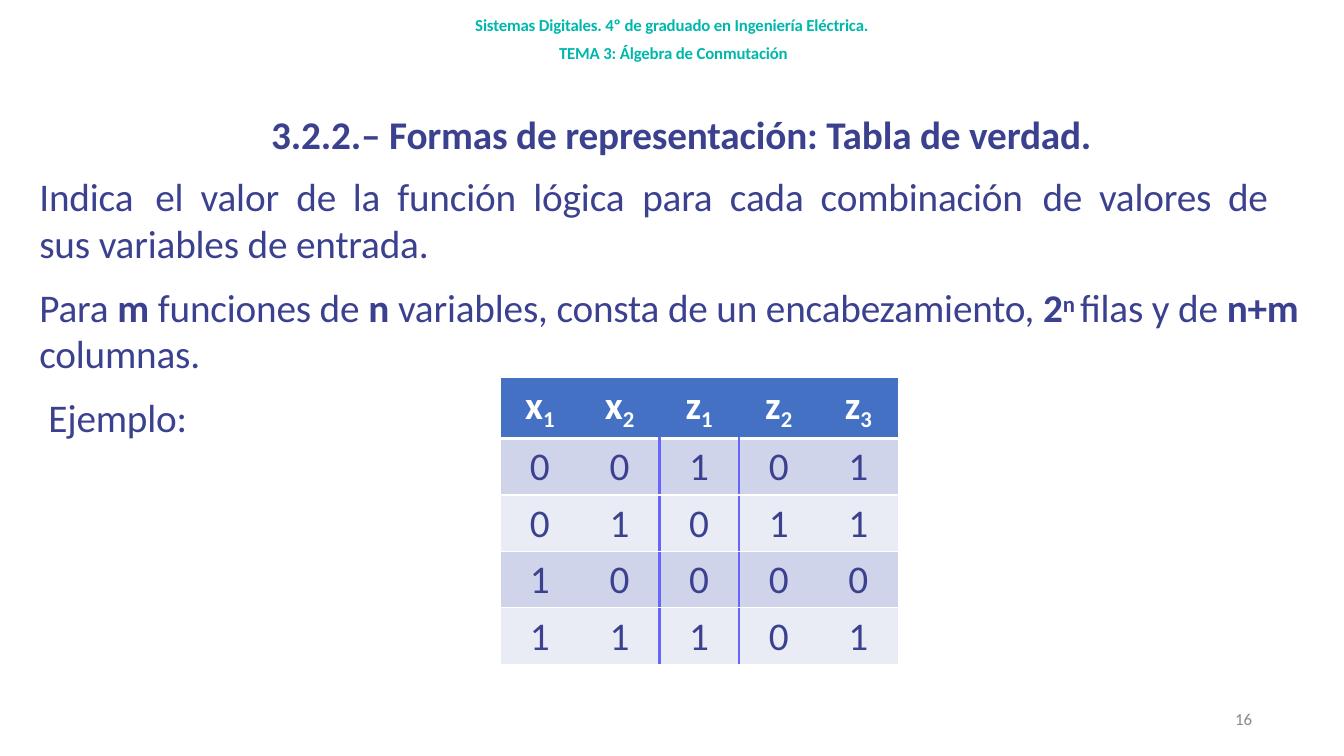
import dataclasses
import typing

import lxml.etree
import pptx
import pptx.dml.color
import pptx.enum.text
import pptx.oxml.ns
import pptx.util

Inches = pptx.util.Inches
Pt = pptx.util.Pt
Align = pptx.enum.text.PP_ALIGN
Anchor = pptx.enum.text.MSO_ANCHOR
qn = pptx.oxml.ns.qn

COLORS = {
    "body": "3B418F",
    "course": "00B7AB",
    "number": "888888",
    "white": "FFFFFF",
    "header": "4471C4",
    "odd_row": "CFD4EA",
    "even_row": "E9EBF5",
    "divider": "6666FF",
}


@dataclasses.dataclass
class Span:
    text: str
    bold: bool = False
    baseline: int = 0


@dataclasses.dataclass
class Para:
    spans: list[Span]
    size: float = 28
    color: str = "body"
    tracking: float = -0.1
    indent: float = 0
    tabs: tuple[float, ...] = ()
    format: dict[str, typing.Any] = dataclasses.field(default_factory=dict)


@dataclasses.dataclass
class TextBox:
    left: float
    top: float
    width: float
    height: float
    paras: list[Para]
    inset_top: float = 0
    anchor: typing.Any = Anchor.TOP


def set_all(target: typing.Any, values: dict[str, typing.Any]) -> None:
    for name, value in values.items():
        setattr(target, name, value)


def write_para(target: typing.Any, para: Para) -> None:
    set_all(target, para.format)
    properties = target._p.get_or_add_pPr()
    properties.set("marL", str(Inches(para.indent)))
    if para.tabs:
        tab_list = lxml.etree.SubElement(properties, qn("a:tabLst"))
        for position in para.tabs:
            lxml.etree.SubElement(tab_list, qn("a:tab"), pos=str(Inches(position)), algn="l")
    for span in para.spans:
        run = target.add_run()
        run.text = span.text
        set_all(run.font, {"name": "Calibri", "size": Pt(para.size), "bold": span.bold})
        run.font.color.rgb = pptx.dml.color.RGBColor.from_string(COLORS[para.color])
        run_properties = run._r.get_or_add_rPr()
        run_properties.set("spc", str(round(para.tracking * 100)))
        if span.baseline:
            run_properties.set("baseline", str(span.baseline * 1000))


def add_text(page: typing.Any, box: TextBox) -> None:
    places = map(Inches, (box.left, box.top, box.width, box.height))
    frame = page.shapes.add_textbox(*places).text_frame
    set_all(frame, {
        "word_wrap": True, "vertical_anchor": box.anchor, "margin_left": 0,
        "margin_right": 0, "margin_top": Inches(box.inset_top), "margin_bottom": 0,
    })
    for index, para in enumerate(box.paras):
        write_para(frame.add_paragraph() if index else frame.paragraphs[0], para)


def set_border(cell: typing.Any, side: str, color: str, width: float) -> None:
    """Draw one side of a cell; a zero width leaves the side open."""
    line = lxml.etree.SubElement(
        cell._tc.get_or_add_tcPr(), qn(f"a:ln{side}"), w=str(Pt(width)))
    if width:
        fill = lxml.etree.SubElement(line, qn("a:solidFill"))
        lxml.etree.SubElement(fill, qn("a:srgbClr"), val=COLORS[color])
    else:
        lxml.etree.SubElement(line, qn("a:noFill"))


def vertical_border(row: int, edge: int) -> tuple[str, float]:
    """Border at a column edge: white outside, dividers around z1 below the header."""
    if edge in (0, len(VARIABLES)):
        return "white", 1
    return ("divider", 2.25) if row and edge in (2, 3) else ("white", 0)


def add_truth_table(page: typing.Any) -> None:
    places = map(Inches, (4.96, 3.74, 3.95, 2.85))
    table = page.shapes.add_table(len(VALUES) + 1, len(VARIABLES), *places).table
    set_all(table, {"first_row": False, "horz_banding": False})
    for column in table.columns:
        column.width = Inches(0.79)
    for row, table_row in enumerate(table.rows):
        table_row.height = Inches(0.56 if row else 0.61)
        for col, cell in enumerate(table_row.cells):
            set_all(cell, {"margin_left": 0, "margin_right": 0,
                           "margin_top": Inches(0.05), "margin_bottom": 0})
            set_border(cell, "L", *vertical_border(row, col))
            set_border(cell, "R", *vertical_border(row, col + 1))
            set_border(cell, "T", "white", 3 if row == 1 else 1)
            set_border(cell, "B", "white", 1 if row else 3)
            if row:
                fill, color, before = ("odd_row" if row % 2 else "even_row"), "body", 3.6
                spans = [Span(VALUES[row - 1][col])]
            else:
                fill, color, before = "header", "white", 3.2
                letter, subscript = VARIABLES[col]
                spans = [Span(letter, True), Span(subscript, True, -20)]
            cell.fill.solid()
            cell.fill.fore_color.rgb = pptx.dml.color.RGBColor.from_string(COLORS[fill])
            write_para(cell.text_frame.paragraphs[0], Para(
                spans, color=color, tracking=0,
                format={"alignment": Align.CENTER, "space_before": Pt(before)}))


VARIABLES = ("x1", "x2", "z1", "z2", "z3")
VALUES = ("00101", "01011", "10000", "11101")
WORD_STOPS = (1.15, 1.6, 2.55, 3.11, 3.55, 4.9, 5.98, 6.85, 7.75, 9.95, 10.51, 11.79, 12.6)
DEFINITION = ("Indica el valor de la función lógica para cada combinación de valores de"
              .replace(" ", "\t") + "\tsus variables de entrada.")

BOXES = [
    TextBox(0.35, 0.92, 12.91, 2.37, [
        Para([Span("3.2.2.– Formas de representación: Tabla de verdad.", True)],
             indent=2.34, format={"space_before": Pt(12)}),
        Para([Span(DEFINITION)], indent=0.04, tabs=WORD_STOPS,
             format={"space_before": Pt(11.1)}),
        Para([Span("Para "), Span("m ", True), Span("funciones de "), Span("n ", True),
              Span("variables, consta de un encabezamiento, "), Span("2", True),
              Span("n ", True, 26), Span("filas y de "), Span("n+m", True)],
             indent=0.04, format={"space_before": Pt(12)}),
    ], inset_top=0.17),
    TextBox(0.38, 3.09, 1.64, 1.29, [
        Para([Span("columnas.")], indent=0.01,
             format={"line_spacing": 1.36, "space_before": Pt(0.9)}),
        Para([Span("Ejemplo:")], indent=0.1, format={"line_spacing": 1.36}),
    ], inset_top=0.01),
    TextBox(4.65, 0.06, 4.03, 0.58, [
        Para([Span("Sistemas Digitales. 4º de graduado en Ingeniería Eléctrica.", True)],
             size=12, color="course",
             format={"alignment": Align.CENTER, "space_before": Pt(6.5)}),
        Para([Span("TEMA 3: Álgebra de Conmutación", True)],
             size=12, color="course", indent=0.03,
             format={"alignment": Align.CENTER, "space_before": Pt(5.5)}),
    ], inset_top=0.09),
    TextBox(9.42, 6.95, 3, 0.4, [
        Para([Span("16")], size=12, color="number", tracking=0,
             format={"alignment": Align.RIGHT, "line_spacing": Pt(12.4)}),
    ], anchor=Anchor.MIDDLE),
]


def main() -> None:
    deck = pptx.Presentation()
    set_all(deck, {"slide_width": Inches(13.33), "slide_height": Inches(7.5)})
    page = deck.slides.add_slide(deck.slide_layouts[6])
    for box in BOXES:
        add_text(page, box)
    add_truth_table(page)
    deck.save("out.pptx")


if __name__ == "__main__":
    main()
